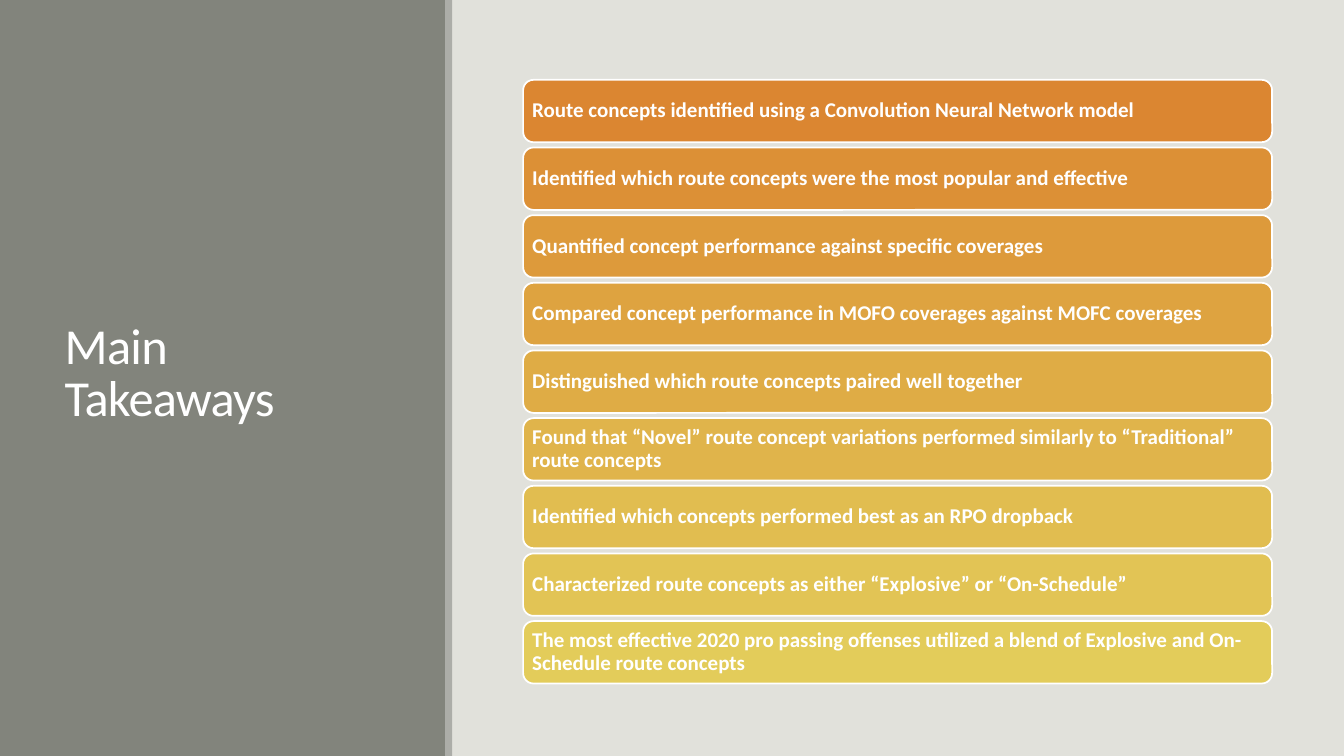
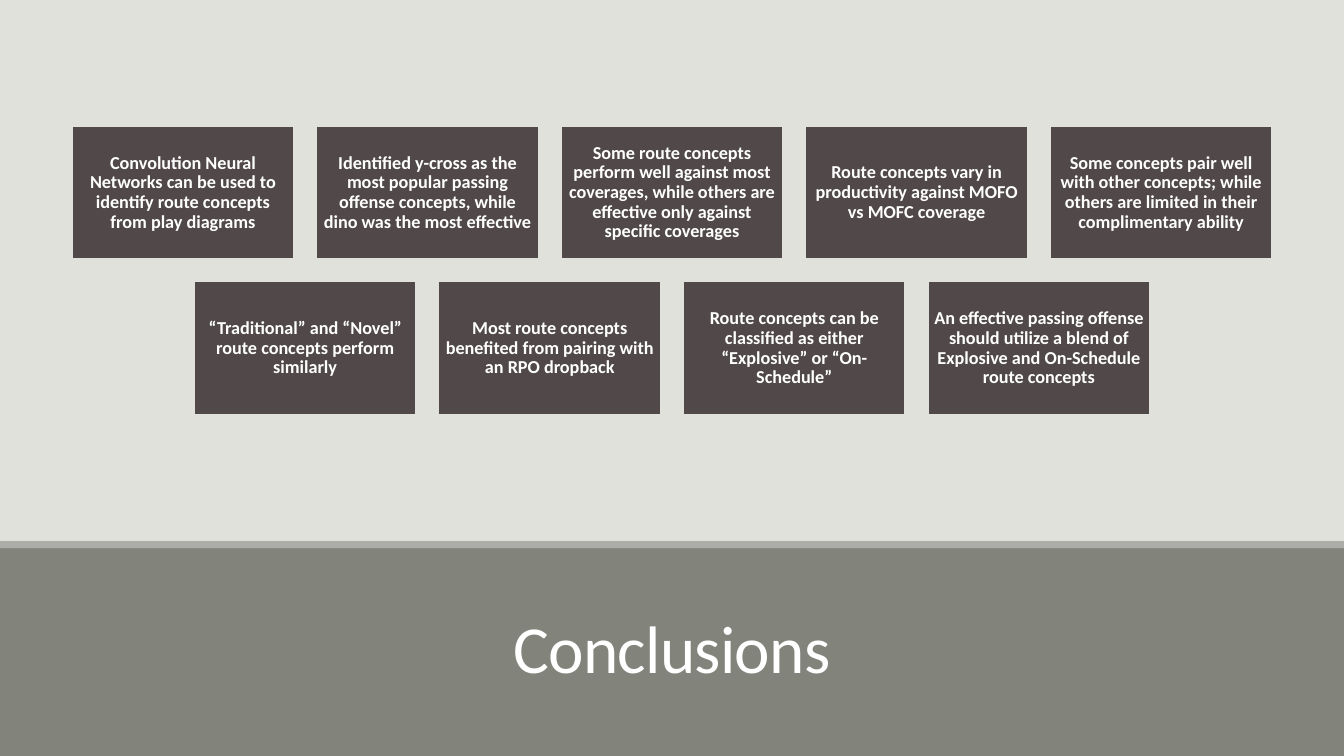
import colorsys

import pptx
import pptx.dml.color
import pptx.enum.shapes
import pptx.enum.text
import pptx.util

Pt = pptx.util.Pt
Shape = pptx.enum.shapes.MSO_SHAPE
Align = pptx.enum.text.PP_ALIGN
Anchor = pptx.enum.text.MSO_ANCHOR

WIDTH, HEIGHT = 960, 540
FONT = "Calibri"
COLORS = {
    "paper": "E1E1DB",
    "panel": "82847C",
    "strip": "ACADA8",
    "card": "514949",
    "white": "FFFFFF",
    "first_bar": "DB8631",
    "last_bar": "E3CC5A",
}

TAKEAWAYS = [
    "Route concepts identified using a Convolution Neural Network model",
    "Identified which route concepts were the most popular and effective",
    "Quantified concept performance against specific coverages",
    "Compared concept performance in MOFO coverages against MOFC coverages",
    "Distinguished which route concepts paired well together",
    "Found that “Novel” route concept variations performed similarly to “Traditional” route concepts",
    "Identified which concepts performed best as an RPO dropback",
    "Characterized route concepts as either “Explosive” or “On-Schedule”",
    "The most effective 2020 pro passing offenses utilized a blend of Explosive and On-Schedule route concepts",
]
CONCLUSION_ROWS = [
    [
        "Convolution Neural Networks can be used to identify route concepts from play diagrams",
        "Identified y-cross as the most popular passing offense concepts, while dino was the most effective",
        "Some route concepts perform well against most coverages, while others are effective only against specific coverages",
        "Route concepts vary in productivity against MOFO vs MOFC coverage",
        "Some concepts pair well with other concepts; while others are limited in their complimentary ability",
    ],
    [
        "“Traditional” and “Novel” route concepts perform similarly",
        "Most route concepts benefited from pairing with an RPO dropback",
        "Route concepts can be classified as either “Explosive” or “On-Schedule”",
        "An effective passing offense should utilize a blend of Explosive and On-Schedule route concepts",
    ],
]


def rgb(hex_color):
    return pptx.dml.color.RGBColor.from_string(hex_color)


def blend(start, end, share):
    """Mix two hex colours by hue, lightness and saturation."""
    hls_start, hls_end = (
        colorsys.rgb_to_hls(*(channel / 255 for channel in rgb(color)))
        for color in (start, end)
    )
    mixed = (a + (b - a) * share for a, b in zip(hls_start, hls_end))
    return "".join(f"{round(c * 255):02X}" for c in colorsys.hls_to_rgb(*mixed))


class Deck:
    """Holds the shared style and the slide being built."""

    def __init__(self):
        self.prs = pptx.Presentation()
        self.prs.slide_width, self.prs.slide_height = Pt(WIDTH), Pt(HEIGHT)
        background = self.prs.slide_master.background.fill
        background.solid()
        background.fore_color.rgb = rgb(COLORS["paper"])
        self.slide = None

    def new_slide(self):
        self.slide = self.prs.slides.add_slide(self.prs.slide_layouts[5])

    def style_text(self, frame, text, size, align, anchor, spacing, bold=False):
        frame.text = text
        frame.word_wrap = True
        frame.auto_size = pptx.enum.text.MSO_AUTO_SIZE.NONE
        frame.vertical_anchor = anchor
        paragraph = frame.paragraphs[0]
        paragraph.alignment = align
        paragraph.line_spacing = spacing
        font = paragraph.font
        font.name, font.size, font.bold = FONT, Pt(size), bold
        font.color.rgb = rgb(COLORS["white"])

    def title(self, text, left, top, width, height, size, align, anchor):
        title = self.slide.shapes.title
        title.left, title.top = Pt(left), Pt(top)
        title.width, title.height = Pt(width), Pt(height)
        self.style_text(title.text_frame, text, size, align, anchor, 0.85)
        # Tighten the letters by half a point
        title.text_frame.paragraphs[0].runs[0]._r.get_or_add_rPr().set("spc", "-50")
        # Bring the title in front of its panel
        title._element.getparent().append(title._element)

    def block(self, kind, left, top, width, height, fill, line=None):
        block = self.slide.shapes.add_shape(
            kind, Pt(left), Pt(top), Pt(width), Pt(height))
        block.shadow.inherit = False
        block.fill.solid()
        block.fill.fore_color.rgb = rgb(fill)
        if line:
            block.line.color.rgb = rgb(line)
            block.line.width = Pt(1.25)
        else:
            block.line.fill.background()
        return block

    def band(self, left, top, width, height, color):
        self.block(Shape.RECTANGLE, left, top, width, height, COLORS[color])

    def label(self, block, text, size, align, inset):
        frame = block.text_frame
        frame.margin_left = frame.margin_right = Pt(inset)
        frame.margin_top = frame.margin_bottom = Pt(inset)
        self.style_text(frame, text, size, align, Anchor.MIDDLE, 0.9, bold=True)

    def bar(self, text, left, top, width, height, fill):
        bar = self.block(Shape.ROUNDED_RECTANGLE, left, top, width, height,
                         fill, COLORS["white"])
        self.label(bar, text, 15, Align.LEFT, 4.3)

    def card(self, text, left, top, width, height):
        card = self.block(Shape.RECTANGLE, left, top, width, height,
                          COLORS["card"], COLORS["paper"])
        self.label(card, text, 13, Align.CENTER, 3.6)


def add_takeaways(deck):
    deck.new_slide()
    # Side panel with title
    deck.band(0, 0, 319, HEIGHT, "panel")
    deck.band(318, 0, 5, HEIGHT, "strip")
    deck.title("Main Takeaways", 39, 41, 243, 454, 36, Align.LEFT, Anchor.MIDDLE)
    # Bars running from orange to yellow
    for i, takeaway in enumerate(TAKEAWAYS):
        fill = blend(COLORS["first_bar"], COLORS["last_bar"], i / (len(TAKEAWAYS) - 1))
        deck.bar(takeaway, 373.7, 57 + i * 48.33, 535, 44.6, fill)


def add_conclusions(deck):
    deck.new_slide()
    # Bottom panel with title
    deck.band(0, 390, WIDTH, 150, "panel")
    deck.band(0, 386.5, WIDTH, 5, "strip")
    deck.title("Conclusions", 84, 413, 792, 81.5, 48, Align.CENTER, Anchor.BOTTOM)
    # Centred rows of cards
    width = 158.8
    height, gap = width * 0.6, width * 0.1
    for row, conclusions in enumerate(CONCLUSION_ROWS):
        row_width = len(conclusions) * (width + gap) - gap
        left = (WIDTH - row_width) / 2
        for column, conclusion in enumerate(conclusions):
            deck.card(conclusion, left + column * (width + gap),
                      90 + row * (height + gap), width, height)


def main():
    deck = Deck()
    add_takeaways(deck)
    add_conclusions(deck)
    deck.prs.save("out.pptx")


if __name__ == "__main__":
    main()
